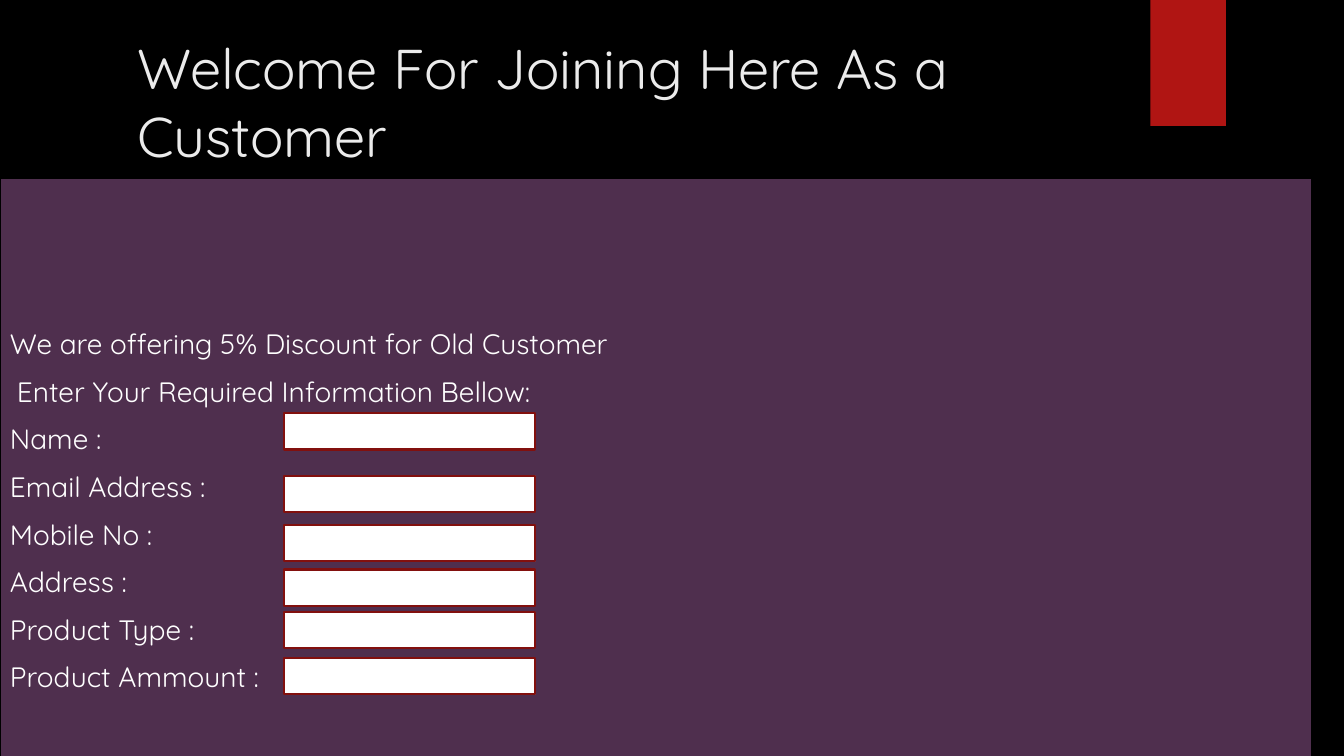
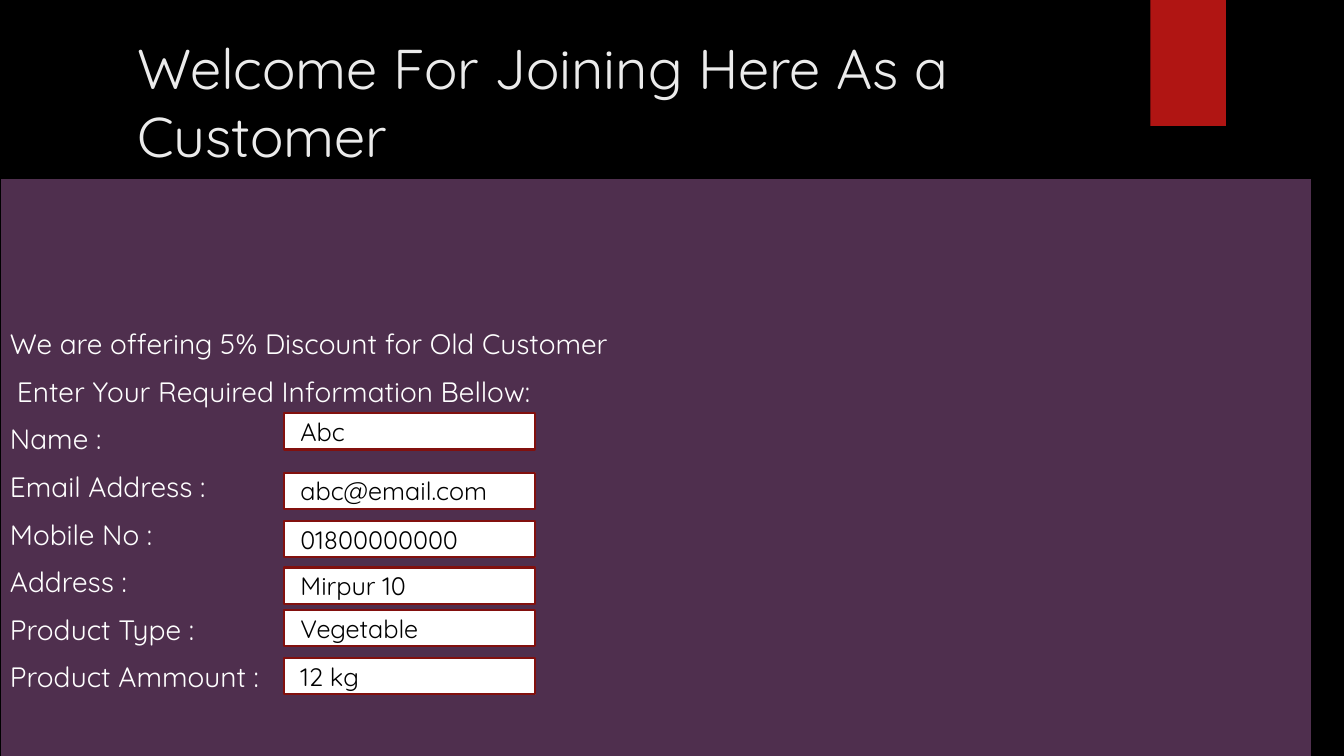
from pptx import Presentation
from pptx import util as u
from pptx.dml.color import RGBColor
from pptx.enum import shapes, text

COLORS = {
    "background": "000000",
    "tab": "B01513",
    "title": "EBEBEB",
    "panel": "4F2F4E",
    "white": "FFFFFF",
    "black": "000000",
    "field_line": "82100E",
}
FONT = "Quicksand"
TITLE = "Welcome For Joining Here As a Customer"
FORM_LINES = [
    "We are offering 5% Discount for Old Customer",
    "Enter Your Required Information Bellow:",
    "Name :",
    "Email Address :",
    "Mobile No :",
    "Address :",
    "Product Type :",
    "Product Ammount :",
]
INSTRUCTION = FORM_LINES[1]
FORMS = [
    [(4.1, ""), (4.72, ""), (5.21, ""), (5.65, ""), (6.07, ""), (6.53, "")],
    [(4.1, "Abc"), (4.69, "abc@email.com"), (5.17, "01800000000"),
     (5.63, "Mirpur 10"), (6.05, "Vegetable"), (6.53, "12 kg")],
]


def add_box(page, left, top, width, height, fill, line=None):
    box = page.shapes.add_shape(
        shapes.MSO_SHAPE.RECTANGLE,
        u.Inches(left), u.Inches(top), u.Inches(width), u.Inches(height))
    box.shadow.inherit = False
    box.fill.solid()
    box.fill.fore_color.rgb = RGBColor.from_string(COLORS[fill])
    if line:
        box.line.color.rgb = RGBColor.from_string(COLORS[line])
        box.line.width = u.Pt(1.5)
    else:
        box.line.fill.background()
    return box


def write_lines(box, lines, size, color, anchor):
    frame = box.text_frame
    frame.text = "\n".join(lines)
    frame.word_wrap = True
    frame.auto_size = text.MSO_AUTO_SIZE.NONE
    frame.vertical_anchor = anchor
    for para in frame.paragraphs:
        para.alignment = text.PP_ALIGN.LEFT
        for span in para.runs:
            span.font.name = FONT
            span.font.size = u.Pt(size)
            span.font.color.rgb = RGBColor.from_string(COLORS[color])
    return frame


deck = Presentation()
deck.slide_width = u.Inches(13.33)
deck.slide_height = u.Inches(7.5)
backdrop = deck.slide_master.background.fill
backdrop.solid()
backdrop.fore_color.rgb = RGBColor.from_string(COLORS["background"])
title_only = deck.slide_layouts[5]

for fields in FORMS:
    page = deck.slides.add_slide(title_only)
    add_box(page, 11.41, 0, 0.75, 1.25, "tab")

    title = page.shapes.title
    title.left, title.top = u.Inches(1.26), u.Inches(0.33)
    title.width, title.height = u.Inches(9.65), u.Inches(1.39)
    write_lines(title, [TITLE], 40, "title", text.MSO_ANCHOR.BOTTOM)

    panel = add_box(page, 0, 1.77, 13.01, 5.79, "panel", "black")
    frame = write_lines(panel, FORM_LINES, 20, "white", text.MSO_ANCHOR.TOP)
    frame.margin_top = u.Inches(1.47)
    for para in frame.paragraphs[1:]:
        para.space_before = u.Pt(10)
        if para.text == INSTRUCTION:
            para_props = para._p.get_or_add_pPr()
            para_props.set("marL", str(u.Inches(0.07)))

    for top, value in fields:
        field = add_box(page, 2.82, top, 2.49, 0.36, "white", "field_line")
        if value:
            frame = write_lines(field, [value], 18, "black", text.MSO_ANCHOR.MIDDLE)
            frame.margin_left = u.Inches(0.16)

deck.save("out.pptx")
